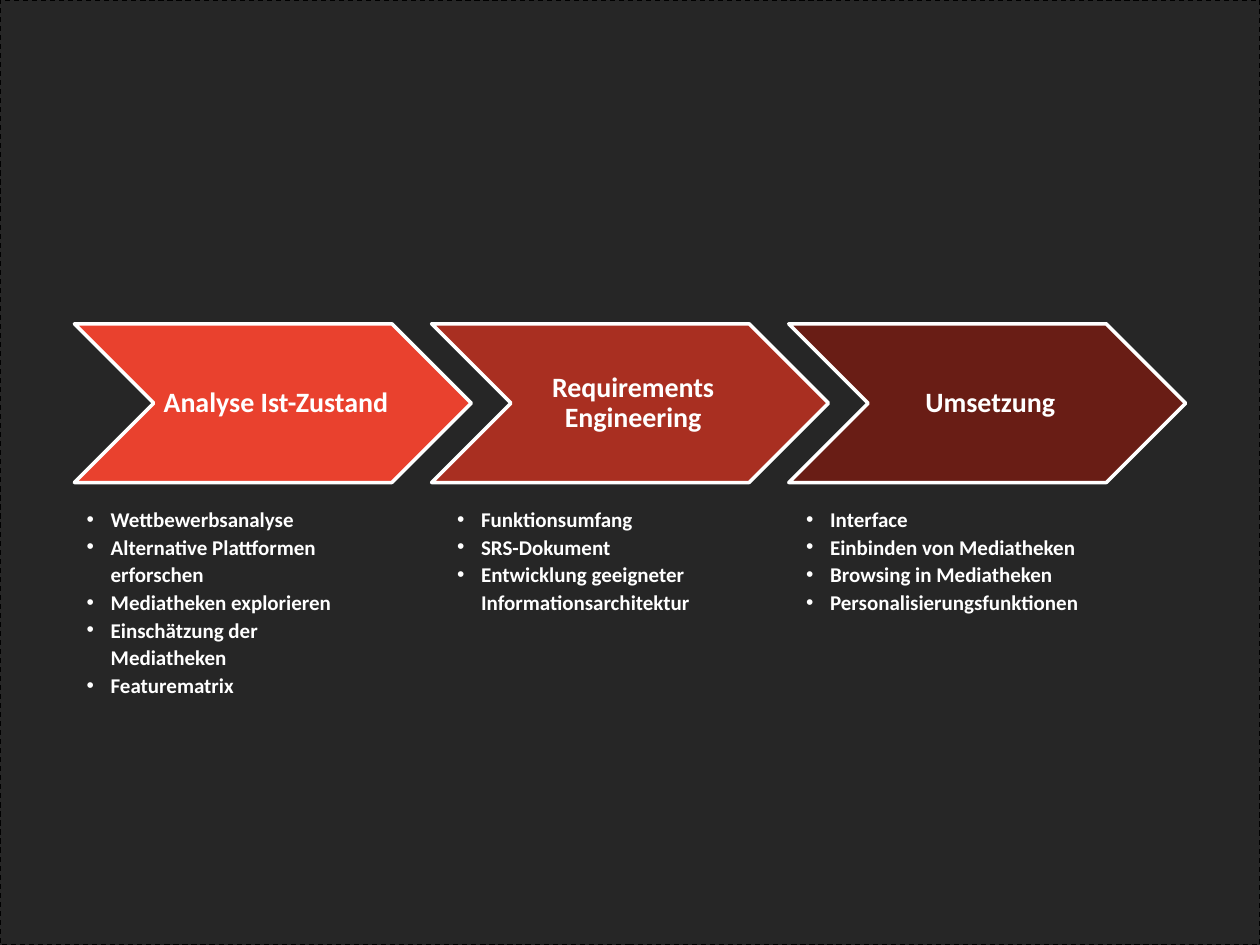
from lxml.etree import SubElement
from pptx import Presentation
from pptx.dml.color import RGBColor
from pptx.enum.dml import MSO_LINE
from pptx.enum.shapes import MSO_SHAPE
from pptx.enum.text import MSO_ANCHOR, PP_ALIGN
from pptx.oxml.ns import qn
from pptx.util import Inches, Pt

COLORS = {
    "back": "262626",
    "edge": "000000",
    "text": "FFFFFF",
    "red": "E9412E",
    "brick": "A92F21",
    "wine": "691D15",
}
FONT = "Calibri"
LEFT, STEP = 0.59, 2.835

# Title, chevron colour, left edge of the list, list items
STAGES = [
    ("Analyse Ist-Zustand", "red", 0.59, [
        "Wettbewerbsanalyse",
        "Alternative Plattformen erforschen",
        "Mediatheken explorieren",
        "Einschätzung der Mediatheken",
        "Featurematrix",
    ]),
    ("Requirements Engineering", "brick", 3.53, [
        "Funktionsumfang",
        "SRS-Dokument",
        "Entwicklung geeigneter Informationsarchitektur",
    ]),
    ("Umsetzung", "wine", 6.3, [
        "Interface",
        "Einbinden von Mediatheken",
        "Browsing in Mediatheken",
        "Personalisierungsfunktionen",
    ]),
]


def rgb(name):
    return RGBColor.from_string(COLORS[name])


def add_run(para, text, size):
    run = para.add_run()
    run.text = text
    font = run.font
    font.name, font.size, font.bold = FONT, Pt(size), True
    font.color.rgb = rgb("text")


def set_insets(frame, left, top, right, bottom):
    frame.margin_left, frame.margin_top = Inches(left), Inches(top)
    frame.margin_right, frame.margin_bottom = Inches(right), Inches(bottom)


def add_block(slide, kind, box, fill, line, width):
    shape = slide.shapes.add_shape(kind, *map(Inches, box))
    shape.shadow.inherit = False
    shape.fill.solid()
    shape.fill.fore_color.rgb = rgb(fill)
    shape.line.color.rgb = rgb(line)
    shape.line.width = Pt(width)
    return shape


def add_back(slide):
    back = add_block(slide, MSO_SHAPE.RECTANGLE, (0, 0, 10, 7.5),
                     "back", "edge", 0.75)
    back.line.dash_style = MSO_LINE.DASH


def add_arrow(slide, left, title, fill):
    arrow = add_block(slide, MSO_SHAPE.CHEVRON, (left, 2.57, 3.15, 1.26),
                      fill, "text", 2)
    arrow.adjustments[0] = 0.5
    frame = arrow.text_frame
    frame.word_wrap = True
    frame.vertical_anchor = MSO_ANCHOR.MIDDLE
    set_insets(frame, 0.07, 0.02, 0.02, 0.02)
    para = frame.paragraphs[0]
    para.alignment = PP_ALIGN.CENTER
    para.line_spacing = 0.9
    add_run(para, title, 16)


def set_bullet(para):
    """Give the paragraph a hanging indent and a white bullet."""
    props = para._p.get_or_add_pPr()
    props.set("marL", str(Inches(0.19)))
    props.set("indent", str(Inches(-0.19)))
    tint = SubElement(props, qn("a:buClr"))
    SubElement(tint, qn("a:srgbClr"), val=COLORS["text"])
    SubElement(props, qn("a:buFont"), typeface="Arial")
    SubElement(props, qn("a:buChar"), char="•")


def add_list(slide, left, items):
    box = slide.shapes.add_textbox(*map(Inches, (left, 3.95, 2.44, 1.65)))
    frame = box.text_frame
    frame.word_wrap = True
    set_insets(frame, 0.1, 0.05, 0.1, 0.05)
    for i, item in enumerate(items):
        para = frame.add_paragraph() if i else frame.paragraphs[0]
        para.line_spacing = 1.1
        set_bullet(para)
        add_run(para, item, 12)


def main():
    deck = Presentation()
    deck.slide_width, deck.slide_height = Inches(10), Inches(7.5)
    slide = deck.slides.add_slide(deck.slide_layouts[6])
    add_back(slide)
    for i, (title, fill, left, items) in enumerate(STAGES):
        add_arrow(slide, LEFT + i * STEP, title, fill)
        add_list(slide, left, items)
    deck.save("out.pptx")


if __name__ == "__main__":
    main()
